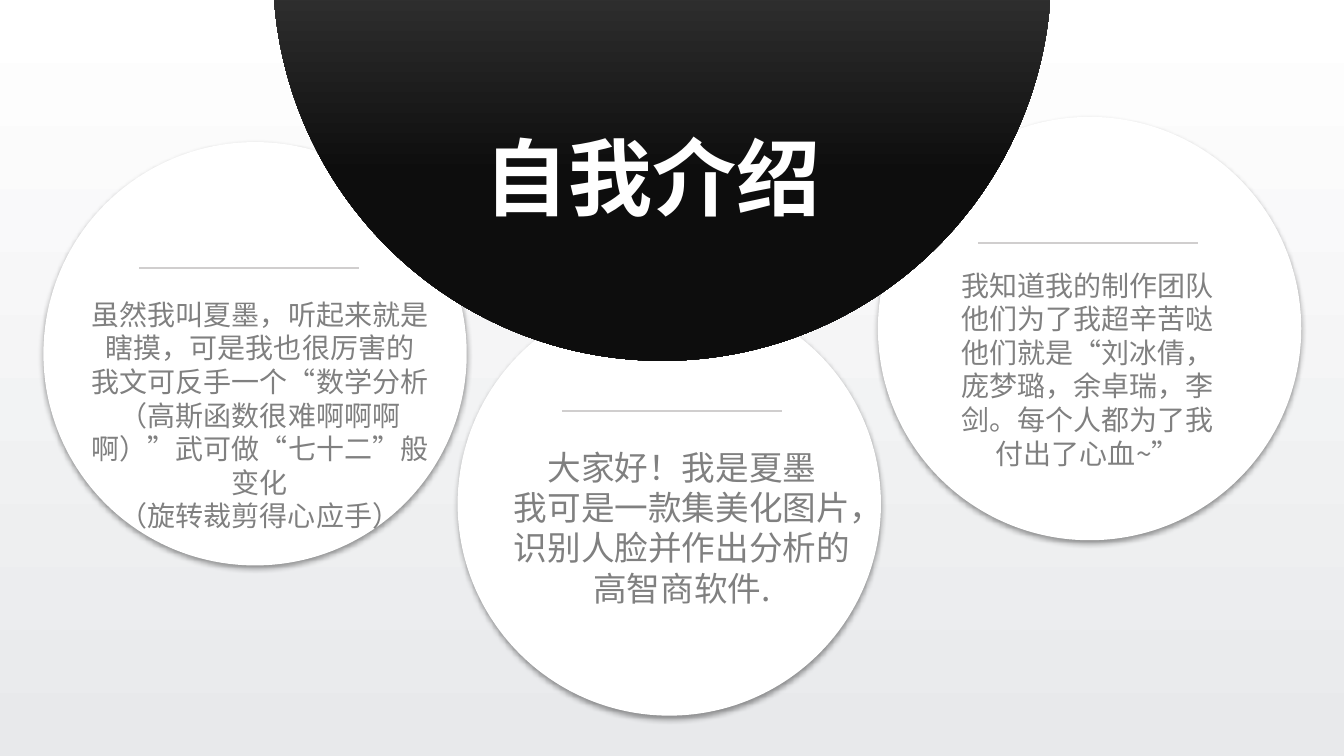
from lxml.etree import SubElement
from pptx import Presentation
from pptx.dml.color import RGBColor
from pptx.enum.shapes import MSO_CONNECTOR, MSO_SHAPE
from pptx.enum.text import MSO_ANCHOR, MSO_AUTO_SIZE, PP_ALIGN
from pptx.oxml.ns import qn
from pptx.util import Pt

FONT = "Noto Sans CJK SC"
COLORS = {
    "white": "FFFFFF", "background_end": "E8E9EB", "text": "808080",
    "rule": "D0CECE", "dome_start": "808080", "dome_end": "0D0D0D",
    "shadow": "000000",
}
DIAMETER = 302.4
RULE_LENGTH = 157.2


def fill_gradient(fill, stops):
    fill.gradient()
    fill.gradient_angle = 270  # downwards
    for stop, (position, color) in zip(fill.gradient_stops, stops):
        stop.position = position
        stop.color.rgb = RGBColor.from_string(COLORS[color])


def format_text(text_frame, size, color, alignment, bold=False):
    for paragraph in text_frame.paragraphs:
        paragraph.alignment = alignment
        paragraph.line_spacing = Pt(size * 1.2)
        for run in paragraph.runs:
            run.font.size = Pt(size)
            run.font.bold = bold
            run.font.color.rgb = RGBColor.from_string(COLORS[color])
            run.font.name = FONT
            east_asian = SubElement(run.font._element, qn("a:ea"))
            east_asian.set("typeface", FONT)


presentation = Presentation()
presentation.slide_width = Pt(960)
presentation.slide_height = Pt(540)
slide = presentation.slides.add_slide(presentation.slide_layouts[5])
fill_gradient(slide.background.fill, [(0, "white"), (1, "background_end")])

# White circles: circle left/top, rule left/top, text box, font size, text
circles = [
    ((31, 101.5), (99.3, 191.4), (57.6, 208.8, 256.3, 172.1), 20,
     ["虽然我叫夏墨，听起来就是瞎摸，可是我也很厉害的",
      "我文可反手一个“数学分析",
      "（高斯函数很难啊啊啊啊）”武可做“七十二”般变化",
      "（旋转裁剪得心应手）"]),
    ((326.9, 208.8), (401.3, 293.6), (359.3, 315.4, 255.6, 123.8), 24,
     ["大家好！我是夏墨",
      "我可是一款集美化图片，",
      "识别人脸并作出分析的高智商软件."]),
    ((627.1, 83.5), (698.6, 173.4), (676.8, 187.9, 200.2, 152.6), 20,
     ["我知道我的制作团队他们为了我超辛苦哒",
      "他们就是“刘冰倩，庞梦璐，余卓瑞，李剑。每个人都为了我付出了心血~”"]),
]
for (left, top), (rule_left, rule_top), text_area, size, lines in circles:
    group = slide.shapes.add_group_shape()

    # Circle with a soft shadow below
    circle = group.shapes.add_shape(
        MSO_SHAPE.OVAL, Pt(left), Pt(top), Pt(DIAMETER), Pt(DIAMETER))
    circle.fill.solid()
    circle.fill.fore_color.rgb = RGBColor.from_string(COLORS["white"])
    circle.line.fill.background()
    circle.shadow.inherit = False
    effects = circle.element.spPr.find(qn("a:effectLst"))
    shadow = SubElement(effects, qn("a:outerShdw"), blurRad=str(Pt(4)),
                        dist=str(Pt(2)), dir="5400000", algn="t", rotWithShape="0")
    shadow_color = SubElement(shadow, qn("a:srgbClr"), val=COLORS["shadow"])
    SubElement(shadow_color, qn("a:alpha"), val="40000")

    # Text
    text_box = group.shapes.add_textbox(*[Pt(length) for length in text_area])
    text_frame = text_box.text_frame
    text_frame.word_wrap = True
    text_frame.auto_size = MSO_AUTO_SIZE.SHAPE_TO_FIT_TEXT
    text_frame.text = "\n".join(lines)
    format_text(text_frame, size, "text", PP_ALIGN.CENTER)

    # Rule above the text
    rule = group.shapes.add_connector(
        MSO_CONNECTOR.STRAIGHT, Pt(rule_left), Pt(rule_top),
        Pt(rule_left + RULE_LENGTH), Pt(rule_top))
    rule.line.color.rgb = RGBColor.from_string(COLORS["rule"])
    rule.line.width = Pt(1.5)
    SubElement(rule.element.spPr, qn("a:effectLst"))

# Dark dome hanging from the top edge
dome = slide.shapes.add_shape(
    MSO_SHAPE.OVAL, Pt(195.1), Pt(-298.1), Pt(555.8), Pt(555.8))
fill_gradient(dome.fill, [(0, "dome_start"), (0.76, "dome_end")])
dome.line.fill.background()
dome.shadow.inherit = False

# Title, in front of the dome
title = slide.shapes.title
slide.shapes.element.append(title.element)
title.left, title.top, title.width, title.height = Pt(339.1), Pt(85.7), Pt(257), Pt(79.9)
text_frame = title.text_frame
text_frame.text = "自我介绍"
text_frame.word_wrap = False
text_frame.auto_size = MSO_AUTO_SIZE.NONE
text_frame.vertical_anchor = MSO_ANCHOR.TOP
format_text(text_frame, 60, "white", PP_ALIGN.LEFT, bold=True)

presentation.save("out.pptx")
